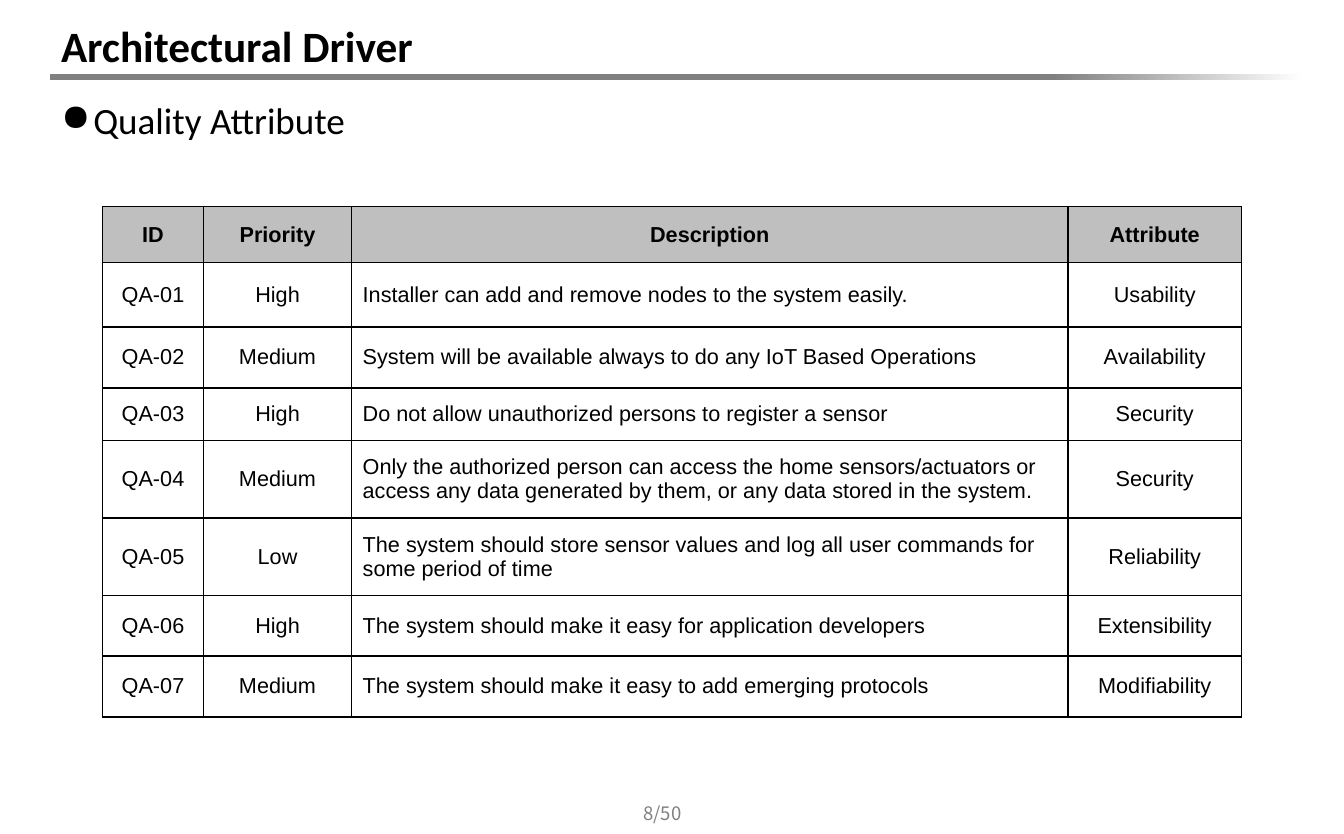
from copy import deepcopy

from lxml.etree import SubElement
from pptx import Presentation
from pptx.dml.color import RGBColor
from pptx.enum.shapes import MSO_SHAPE
from pptx.enum.text import MSO_ANCHOR, PP_ALIGN
from pptx.oxml.ns import qn
from pptx.util import Inches, Pt

COLORS = {"text": "000000", "rule": "808080", "header": "BFBFBF", "paper": "FFFFFF"}
TITLE = {"name": "Calibri", "size": Pt(28), "bold": True}
BULLET = {"name": "Calibri", "size": Pt(24), "bold": False}
FOOTER = {"name": "Noto Sans CJK KR", "size": Pt(12), "bold": False}
CELL = {"name": "Arial", "size": Pt(14), "bold": False}
HEADER = {**CELL, "bold": True}

COLUMN_SHARES = [7.53, 11.01, 53.31, 12.91]
ROW_SHARES = [6.67, 7.73, 7.33, 6.27, 9.33, 9.33, 7.2, 7.33]
HEADINGS = ["ID", "Priority", "Description", "Attribute"]
ATTRIBUTES = [
    ("High", "Installer can add and remove nodes to the system easily.", "Usability"),
    ("Medium", "System will be available always to do any IoT Based Operations", "Availability"),
    ("High", "Do not allow unauthorized persons to register a sensor", "Security"),
    ("Medium", "Only the authorized person can access the home sensors/actuators or "
     "access any data generated by them, or any data stored in the system.", "Security"),
    ("Low", "The system should store sensor values and log all user commands for "
     "some period of time", "Reliability"),
    ("High", "The system should make it easy for application developers", "Extensibility"),
    ("Medium", "The system should make it easy to add emerging protocols", "Modifiability"),
]


class SlideBuilder:
    def __init__(self, presentation):
        self.width = presentation.slide_width
        self.height = presentation.slide_height
        self.slide = presentation.slides.add_slide(presentation.slide_layouts[6])

    def across(self, share):
        return round(self.width * share / 100)

    def down(self, share):
        return round(self.height * share / 100)

    def box(self, left, top, width, height):
        return self.across(left), self.down(top), self.across(width), self.down(height)

    def fill_frame(self, frame, text, style, color="text", align=PP_ALIGN.LEFT):
        paragraph = frame.paragraphs[0]
        paragraph.alignment = align
        run = paragraph.add_run()
        run.text = text
        for name, value in style.items():
            setattr(run.font, name, value)
        run.font.color.rgb = RGBColor.from_string(COLORS[color])
        return paragraph

    def text(self, text, place, style, anchor=MSO_ANCHOR.MIDDLE, **options):
        frame = self.slide.shapes.add_textbox(*self.box(*place)).text_frame
        frame.word_wrap = True
        frame.vertical_anchor = anchor
        return self.fill_frame(frame, text, style, **options)

    def bullet(self, text, place, style):
        paragraph = self.text(text, place, style, MSO_ANCHOR.TOP)
        paragraph.space_before = Pt(5)
        properties = paragraph._p.get_or_add_pPr()
        properties.set("marL", str(Inches(0.29)))
        properties.set("indent", str(Inches(-0.29)))
        SubElement(properties, qn("a:buChar"), char="●")

    def fading_rule(self, place):
        shape = self.slide.shapes.add_shape(MSO_SHAPE.FLOWCHART_PROCESS, *self.box(*place))
        shape.shadow.inherit = False
        shape.line.fill.background()
        shape.fill.gradient()
        shape.fill.gradient_angle = 0
        first = shape.fill.gradient_stops[0]._gs
        first.addnext(deepcopy(first))
        stops = [(0, "rule"), (0.8, "rule"), (1, "paper")]
        for stop, (position, color) in zip(shape.fill.gradient_stops, stops):
            stop.position = position
            stop.color.rgb = RGBColor.from_string(COLORS[color])

    def border(self, cell):
        properties = cell._tc.get_or_add_tcPr()
        for side in ("lnL", "lnR", "lnT", "lnB"):
            line = SubElement(properties, qn(f"a:{side}"), w=str(Pt(1)))
            fill = SubElement(line, qn("a:solidFill"))
            SubElement(fill, qn("a:srgbClr"), val=COLORS["text"])

    def table(self, left, top, columns, rows, records):
        place = self.box(left, top, sum(columns), sum(rows))
        table = self.slide.shapes.add_table(len(rows), len(columns), *place).table
        for column, share in zip(table.columns, columns):
            column.width = self.across(share)
        for row, share in zip(table.rows, rows):
            row.height = self.down(share)
        for row_index, record in enumerate(records):
            is_header = row_index == 0
            for column_index, text in enumerate(record):
                cell = table.cell(row_index, column_index)
                cell.vertical_anchor = MSO_ANCHOR.MIDDLE
                self.border(cell)
                cell.fill.solid()
                fill_color = COLORS["header" if is_header else "paper"]
                cell.fill.fore_color.rgb = RGBColor.from_string(fill_color)
                is_description = HEADINGS[column_index] == "Description"
                align = PP_ALIGN.LEFT if is_description and not is_header else PP_ALIGN.CENTER
                style = HEADER if is_header else CELL
                self.fill_frame(cell.text_frame, text, style, align=align)


def main():
    presentation = Presentation()
    presentation.slide_width = Inches(12.08)
    presentation.slide_height = Inches(7.5)
    builder = SlideBuilder(presentation)
    builder.fading_rule((3.73, 8.93, 93.21, 0.67))
    builder.bullet("Quality Attribute", (3.73, 11.07, 93.21, 8), BULLET)
    builder.text("8/50", (44.78, 95.87, 9.02, 3.2), FOOTER, color="rule", align=PP_ALIGN.CENTER)
    builder.text("Architectural Driver", (3.73, 1.87, 93.21, 7.2), TITLE)
    records = [(f"QA-{number:02}", *record) for number, record in enumerate(ATTRIBUTES, 1)]
    builder.table(7.62, 24.8, COLUMN_SHARES, ROW_SHARES, [HEADINGS, *records])
    presentation.save("out.pptx")


if __name__ == "__main__":
    main()
